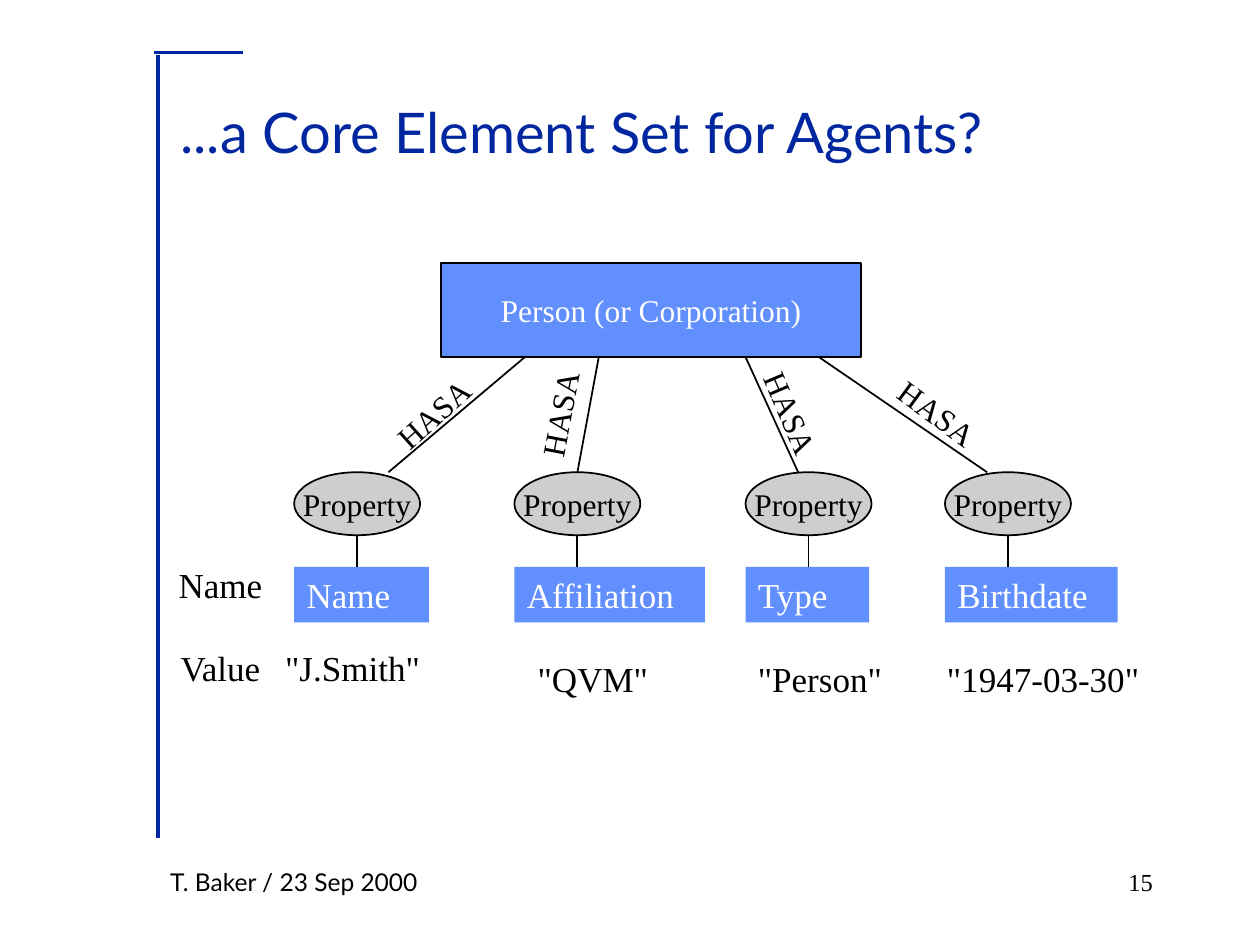
from lxml.etree import SubElement
from pptx import Presentation
from pptx.dml.color import RGBColor
from pptx.enum.shapes import MSO_CONNECTOR as Connector, MSO_SHAPE as Shape
from pptx.enum.text import MSO_ANCHOR as Anchor, PP_ALIGN as Align
from pptx.oxml.ns import qn
from pptx.util import Cm, Pt

NAVY = RGBColor(0x00, 0x27, 0x9F)
BLUE = RGBColor(0x61, 0x8F, 0xFD)
GREY = RGBColor(0xCE, 0xCE, 0xCE)
BLACK = RGBColor(0x00, 0x00, 0x00)
WHITE = RGBColor(0xFF, 0xFF, 0xFF)
SANS, SERIF = "Lato", "Times New Roman"

TITLE = "...a Core Element Set for Agents?"
FOOTER = "T. Baker / 23 Sep 2000"
PAGE = "15"
AGENT = "Person (or Corporation)"
RELATION = "HASA"
ROWS = [("Name", 3.35, 11.22), ("Value", 3.39, 12.91)]

# left, (name, width), (value, left, top, width), (link top x, link bottom x), (relation left, angle)
PROPERTIES = [
    (5.93, ("Name", 2.72), ('"J.Smith"', 5.5, 12.91, 3.3), (10.58, 7.83), (7.62, 318.1)),
    (10.37, ("Affiliation", 3.84), ('"QVM"', 10.59, 13.13, 2.9), (12.07, 11.64), (10.16, 280.9)),
    (15.03, ("Type", 2.49), ('"Person"', 15.03, 13.13, 3.15), (15.03, 16.09), (14.83, 66.9)),
    (19.05, ("Birthdate", 3.48), ('"1947-03-30"', 18.84, 13.13, 4.55), (16.51, 19.9), (17.78, 36.1)),
]
AGENT_TOP, AGENT_HEIGHT = 5.3, 1.9
OVAL_TOP, OVAL_WIDTH, OVAL_HEIGHT = 9.52, 2.54, 1.27
NAME_TOP, LINE_HEIGHT = 11.43, 1.12

deck = Presentation()
deck.slide_width, deck.slide_height = Cm(25.4), Cm(19.05)
slide = deck.slides.add_slide(deck.slide_layouts[6])


def write(holder, text, size, color=BLACK, font=SERIF, align=Align.LEFT,
          anchor=Anchor.TOP, wrap=False):
    frame = holder.text_frame
    frame.word_wrap = wrap
    frame.vertical_anchor = anchor
    frame.margin_left = frame.margin_right = Cm(0.25)
    frame.margin_top = frame.margin_bottom = Cm(0.13)
    paragraph = frame.paragraphs[0]
    paragraph.text = text
    paragraph.alignment = align
    paragraph.font.size = Pt(size)
    paragraph.font.name = font
    paragraph.font.color.rgb = color


def add_text(box, text, size, angle=0, **style):
    holder = slide.shapes.add_textbox(*map(Cm, box))
    holder.rotation = angle
    write(holder, text, size, **style)


def add_node(kind, box, fill, text, size, outlined=True, **style):
    node = slide.shapes.add_shape(kind, *map(Cm, box))
    node.shadow.inherit = False
    node.fill.solid()
    node.fill.fore_color.rgb = fill
    if outlined:
        node.line.color.rgb = BLACK
        node.line.width = Pt(1)
    else:
        node.line.fill.background()
    write(node, text, size, **style)


def add_line(start, end, color=BLACK, width=1):
    line = slide.shapes.add_connector(Connector.STRAIGHT, *map(Cm, start + end))
    line.line.color.rgb = color
    line.line.width = Pt(width)
    SubElement(line._element.spPr, qn("a:effectLst"))


add_line((4.9, 1.06), (3.1, 1.06), NAVY, 2)
add_line((3.18, 1.1), (3.18, 16.9), NAVY, 2)
add_text((3.18, 17.34, 6.55, 0.84), FOOTER, 14, font=SANS, wrap=True)
add_text((18.2, 17.35, 5.29, 1.27), PAGE, 14, align=Align.RIGHT, wrap=True)
add_text((3.39, 1.06, 20.53, 3.18), TITLE, 32, color=NAVY, font=SANS,
         anchor=Anchor.MIDDLE, wrap=True)

for row, left, top in ROWS:
    add_text((left, top, 2.35, LINE_HEIGHT), row, 20)

add_node(Shape.RECTANGLE, (8.89, AGENT_TOP, 8.47, AGENT_HEIGHT), BLUE, AGENT, 18,
         color=WHITE, align=Align.CENTER, anchor=Anchor.MIDDLE)

for left, (name, name_width), (value, *value_box), (link_top, link_bottom), relation in PROPERTIES:
    middle = left + OVAL_WIDTH / 2
    relation_left, angle = relation
    add_node(Shape.OVAL, (left, OVAL_TOP, OVAL_WIDTH, OVAL_HEIGHT), GREY, "Property", 18,
             align=Align.CENTER, anchor=Anchor.MIDDLE)
    add_node(Shape.RECTANGLE, (left, NAME_TOP, name_width, LINE_HEIGHT), BLUE, name, 20,
             outlined=False, color=WHITE)
    add_line((middle, OVAL_TOP + OVAL_HEIGHT), (middle, NAME_TOP))
    add_line((link_bottom, OVAL_TOP), (link_top, AGENT_TOP + AGENT_HEIGHT))
    add_text((*value_box, LINE_HEIGHT), value, 20)
    add_text((relation_left, 7.82, 2.24, 1.02), RELATION, 18, angle)

deck.save("out.pptx")
